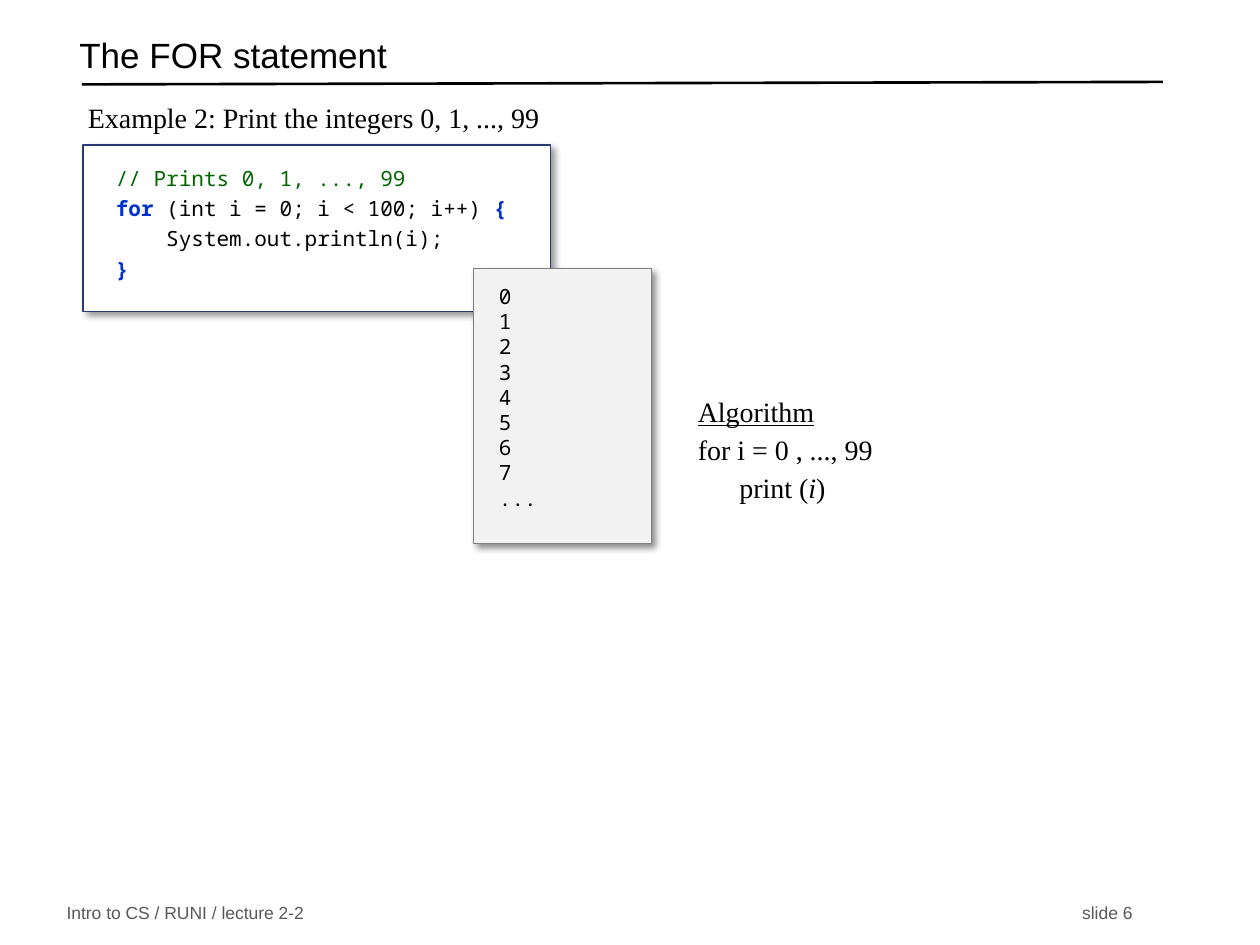
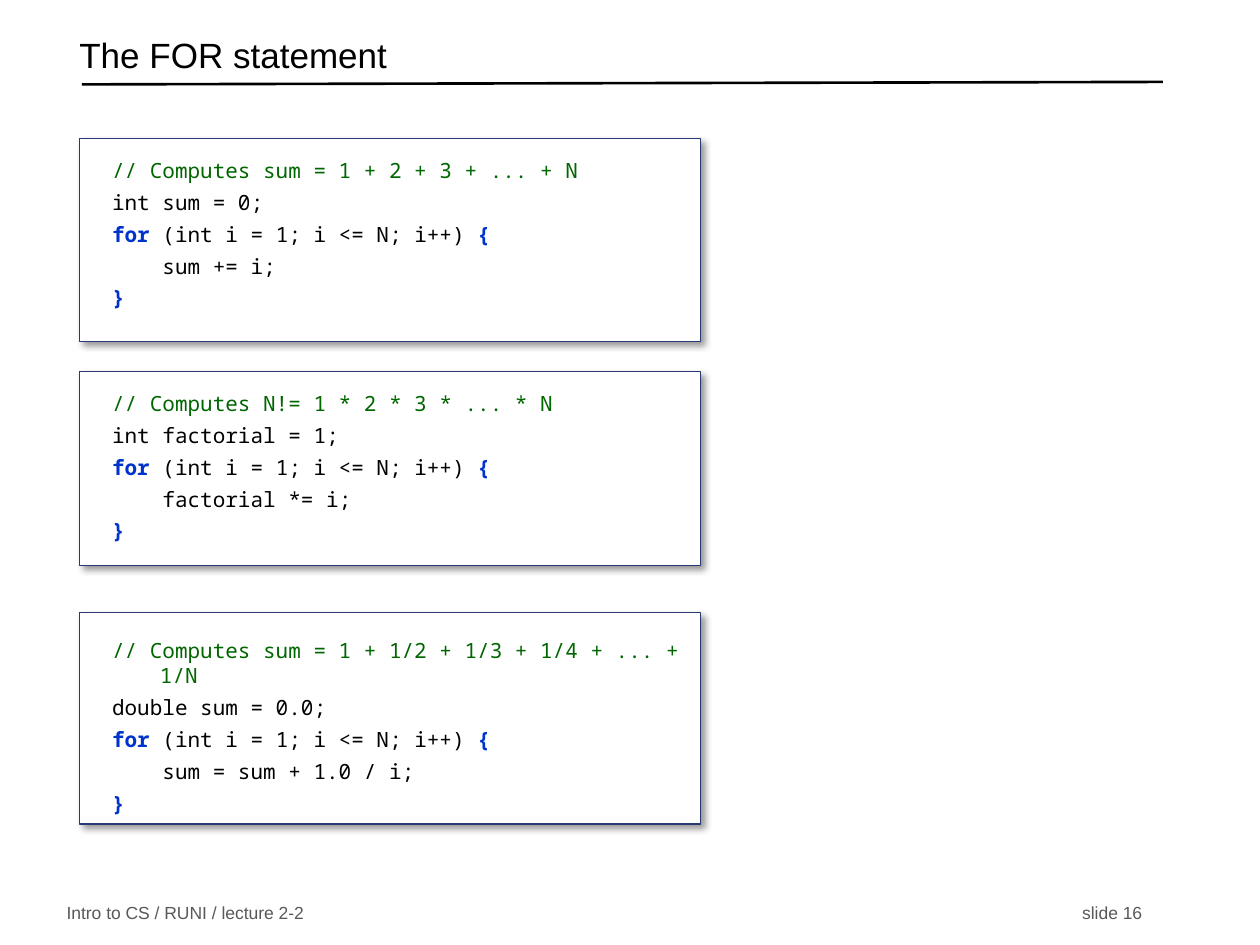
import pptx
import pptx.util
import pptx.dml.color
import pptx.enum.shapes
import pptx.enum.text
import pptx.oxml
import pptx.oxml.ns
import lxml.etree

Inches = pptx.util.Inches
Pt = pptx.util.Pt
RGBColor = pptx.dml.color.RGBColor
ANCHOR = pptx.enum.text.MSO_ANCHOR
ALIGN = pptx.enum.text.PP_ALIGN
qn = pptx.oxml.ns.qn

BLACK = RGBColor(0x00, 0x00, 0x00)
WHITE = RGBColor(0xFF, 0xFF, 0xFF)
FOOTER_GREY = RGBColor(0x59, 0x59, 0x59)
CODE_BORDER = RGBColor(0x29, 0x39, 0x73)
OUTPUT_FILL = RGBColor(0xF2, 0xF2, 0xF2)
OUTPUT_BORDER = RGBColor(0x80, 0x80, 0x80)
COMMENT_GREEN = RGBColor(0x00, 0x66, 0x00)
KEYWORD_BLUE = RGBColor(0x00, 0x33, 0xCC)
SANS, SERIF, MONO = "Arial", "Times New Roman", "Noto Sans Mono"

SHADOW = (
    '<a:effectLst xmlns:a="http://schemas.openxmlformats.org/drawingml/2006/main">'
    '<a:outerShdw blurRad="{blur}" dist="{dist}" dir="2700000" algn="tl" rotWithShape="0">'
    '<a:srgbClr val="000000"><a:alpha val="{alpha}000"/></a:srgbClr>'
    "</a:outerShdw></a:effectLst>"
)


def add_text(slide, box, lines, font, size, color, gap=0, wrap=True):
    sp = slide.shapes.add_textbox(*map(Inches, box))
    tf = sp.text_frame
    tf.word_wrap = wrap
    for i, line in enumerate(lines):
        p = tf.paragraphs[0] if i == 0 else tf.add_paragraph()
        p.space_before = Pt(gap if i else 0)
        for part in line:
            r = p.add_run()
            r.text = part
            r.font.name, r.font.size = font, Pt(size)
            r.font.color.rgb = color
    return tf


def add_panel(slide, box, insets, lines, fill, border, width, alpha, gap=0, hang=0):
    sp = slide.shapes.add_shape(pptx.enum.shapes.MSO_SHAPE.RECTANGLE, *map(Inches, box))
    sp.fill.solid()
    sp.fill.fore_color.rgb = fill
    sp.line.color.rgb = border
    sp.line.width = Pt(width)
    sp._element.spPr.append(
        pptx.oxml.parse_xml(SHADOW.format(blur=Pt(4), dist=Pt(3), alpha=alpha)))
    tf = sp.text_frame
    tf.word_wrap = True
    tf.vertical_anchor = ANCHOR.TOP
    tf.margin_left, tf.margin_top, tf.margin_right, tf.margin_bottom = map(Inches, insets)
    for i, line in enumerate(lines):
        p = tf.paragraphs[0] if i == 0 else tf.add_paragraph()
        p.alignment = ALIGN.LEFT
        p.space_before = Pt(gap if i else 0)
        pPr = p._p.get_or_add_pPr()
        pPr.set("marL", str(Inches(hang)))
        pPr.set("indent", str(-Inches(hang)))
        parts = ["for", line[3:-1], "{"] if line.startswith("for ") else [line]
        for part in parts:
            r = p.add_run()
            r.text = part
            r.font.name, r.font.size = MONO, Pt(12)
            r.font.bold = part in ("for", "{", "}")
            if r.font.bold:
                r.font.color.rgb = KEYWORD_BLUE
            else:
                r.font.color.rgb = COMMENT_GREEN if part.startswith("//") else BLACK


prs = pptx.Presentation()
prs.slide_width, prs.slide_height = Inches(10), Inches(7.5)

slides = []
for number in (6, 16):
    s = prs.slides.add_slide(prs.slide_layouts[5])
    slides.append(s)

    rule = s.shapes.add_connector(
        pptx.enum.shapes.MSO_CONNECTOR.STRAIGHT,
        Inches(0.65), Inches(0.67), Inches(9.23), Inches(0.65))
    rule.line.color.rgb = BLACK
    rule.line.width = Pt(1.5)
    lxml.etree.SubElement(rule._element.spPr, qn("a:effectLst"))

    title = s.shapes.title
    title.left, title.top = Inches(0.53), Inches(0.22)
    title.width, title.height = Inches(8.6), Inches(0.5)
    tf = title.text_frame
    tf.text = "The FOR statement"
    tf.auto_size = pptx.enum.text.MSO_AUTO_SIZE.NONE
    tf.vertical_anchor = ANCHOR.MIDDLE
    p = tf.paragraphs[0]
    p.alignment = ALIGN.LEFT
    p.line_spacing = 0.7
    r = p.runs[0]
    r.font.name, r.font.size = SANS, Pt(20)
    r.font.color.rgb = BLACK

    for left, width, label in (
        (0.43, 3, "Intro to CS / RUNI / lecture 2-2"),
        (8.49, 0.9, f"slide {number}"),
    ):
        tf = add_text(s, (left, 7.14, width, 0.21), [[label]], SANS, 10, FOOTER_GREY)
        tf.vertical_anchor = ANCHOR.MIDDLE

code_style = dict(fill=WHITE, border=CODE_BORDER, width=0.75, alpha=40, hang=0.38)

s = slides[0]
add_text(s, (0.6, 0.75, 3.96, 0.52),
         [["Example 2: Print the integers 0, 1, ..., 99"]], SERIF, 16, BLACK)
add_panel(
    s, (0.66, 1.15, 3.71, 1.32), (0.26, 0.16, 0.18, 0.29),
    ["// Prints 0, 1, ..., 99",
     "for (int i = 0; i < 100; i++) {",
     "    System.out.println(i);",
     "}"],
    gap=3, **code_style)
tf = add_text(
    s, (5.44, 3.08, 2.78, 1),
    [["Algorithm"], ["for i = 0 , ..., 99"], ["print (", "i", ")"]],
    SERIF, 16, BLACK, gap=2.7)
heading, loop, body = tf.paragraphs
heading.runs[0].font.underline = True
body.runs[1].font.italic = True
body._p.get_or_add_pPr().set("marL", str(Inches(0.33)))
add_panel(
    s, (3.76, 2.13, 1.41, 2.18), (0.2, 0.12, 0.2, 0.1),
    [str(i) for i in range(8)] + ["..."],
    OUTPUT_FILL, OUTPUT_BORDER, 0.5, 43)

examples = [
    (1.1, 1.61, 0.15, 0.18, "// Computes sum = 1 + 2 + 3 + ... + N",
     "int sum = 0;", "sum += i;"),
    (2.95, 1.54, 0.15, 0.18, "// Computes N!= 1 * 2 * 3 * ... * N",
     "int factorial = 1;", "factorial *= i;"),
    (4.86, 1.68, 0.2, 0, "// Computes sum = 1 + 1/2 + 1/3 + 1/4 + ... + 1/N",
     "double sum = 0.0;", "sum = sum + 1.0 / i;"),
]
for top, height, inset_top, inset_right, comment, start, step in examples:
    add_panel(
        slides[1], (0.63, top, 4.93, height), (0.26, inset_top, inset_right, 0.29),
        [comment, start, "for (int i = 1; i <= N; i++) {", "    " + step, "}"],
        gap=3.8, **code_style)

prs.save("out.pptx")
